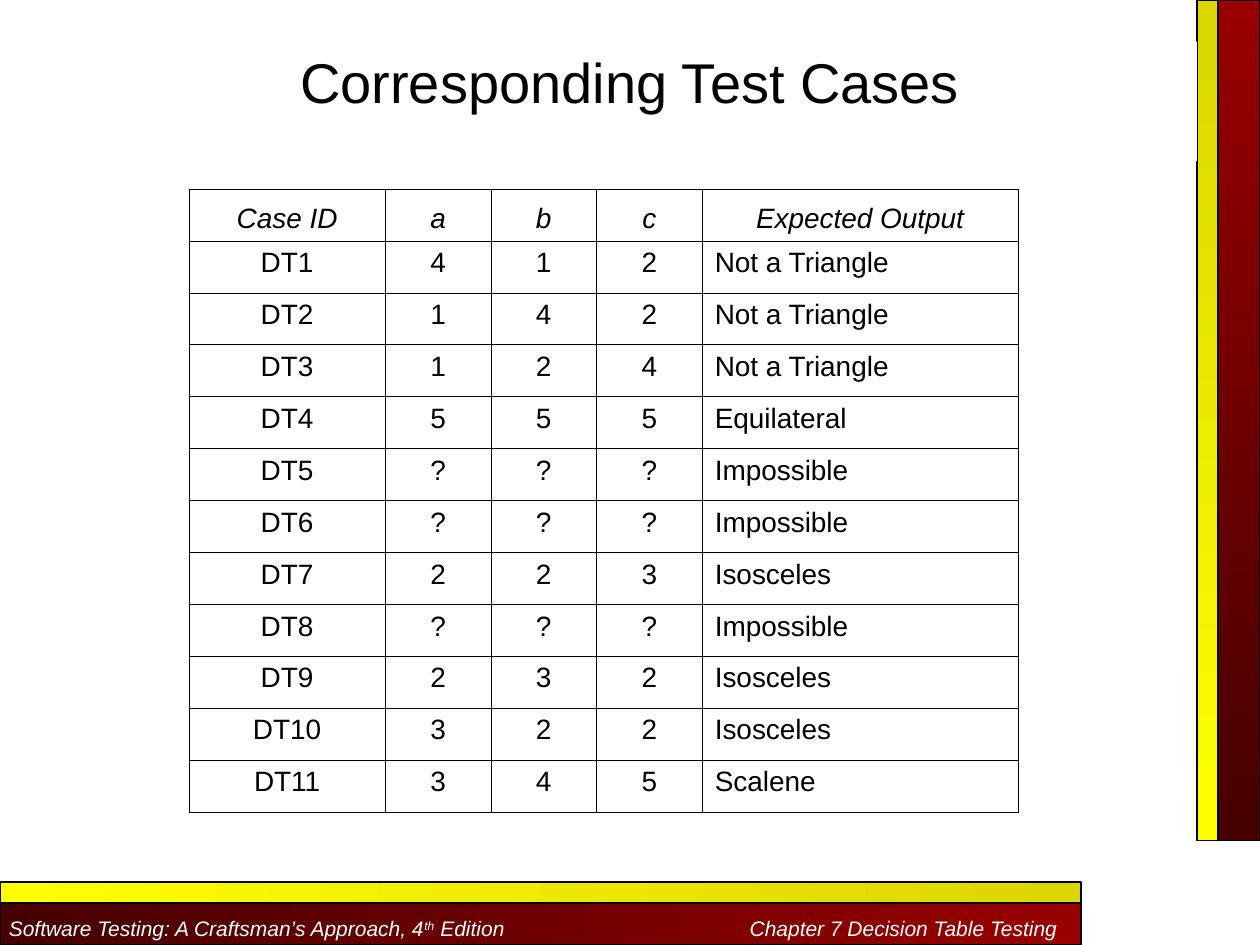
from dataclasses import dataclass

from lxml import etree
from pptx import Presentation
from pptx.dml.color import RGBColor
from pptx.enum.shapes import MSO_SHAPE
from pptx.enum.text import MSO_ANCHOR, PP_ALIGN
from pptx.oxml.ns import qn
from pptx.util import Inches, Pt

RECT = MSO_SHAPE.RECTANGLE
TOP, MIDDLE, BOTTOM = MSO_ANCHOR.TOP, MSO_ANCHOR.MIDDLE, MSO_ANCHOR.BOTTOM
LEFT, CENTER = PP_ALIGN.LEFT, PP_ALIGN.CENTER


@dataclass(frozen=True)
class Theme:
    font: str = "Arial"
    text: str = "000000"
    paper: str = "FFFFFF"
    red: tuple = ("990000", "460000")
    yellow: tuple = ("DBD600", "FFFF00")
    title_size: float = 32
    table_size: float = 16
    footer_size: float = 12
    bar_line: float = 0.75
    cell_line: float = 0.45


THEME = Theme()
HEADERS = ["Case ID", "a", "b", "c", "Expected Output"]
CASES = [
    ("4", "1", "2", "Not a Triangle"),
    ("1", "4", "2", "Not a Triangle"),
    ("1", "2", "4", "Not a Triangle"),
    ("5", "5", "5", "Equilateral"),
    ("?", "?", "?", "Impossible"),
    ("?", "?", "?", "Impossible"),
    ("2", "2", "3", "Isosceles"),
    ("?", "?", "?", "Impossible"),
    ("2", "3", "2", "Isosceles"),
    ("3", "2", "2", "Isosceles"),
    ("3", "4", "5", "Scalene"),
]
COLUMN_WIDTHS = [1.56, 0.84, 0.84, 0.84, 2.51]


def style_runs(p, size, color, italic=False):
    for r in p.runs:
        r.font.name = THEME.font
        r.font.size = Pt(size)
        r.font.italic = italic
        r.font.color.rgb = RGBColor.from_string(color)


def add_bar(slide, box, colors, angle):
    sp = slide.shapes.add_shape(RECT, *map(Inches, box))
    sp.shadow.inherit = False
    sp.fill.gradient()
    sp.fill.gradient_angle = angle
    for stop, color in zip(sp.fill.gradient_stops, colors):
        stop.color.rgb = RGBColor.from_string(color)
    sp.line.color.rgb = RGBColor.from_string(THEME.text)
    sp.line.width = Pt(THEME.bar_line)
    return sp


def add_side_band(slide, left, top, width, height):
    """Yellow strip a third of the band wide, then the red one."""
    strip = width / 3
    add_bar(slide, (left + strip, top, width - strip, height), THEME.red, 270)
    add_bar(slide, (left, top, strip, height), THEME.yellow, 270)


def add_footer_band(slide, left, top, width, height):
    """Yellow strip a third of the band high, above the red bar with text."""
    strip = height / 3
    bar = add_bar(slide, (left, top + strip, width, height - strip),
                  THEME.red[::-1], 0)
    add_bar(slide, (left, top, width, strip), THEME.yellow[::-1], 0)

    tf = bar.text_frame
    tf.word_wrap = False
    tf.vertical_anchor = MIDDLE
    tf.margin_left = tf.margin_top = Inches(0.07)
    tf.margin_right = tf.margin_bottom = 0
    p = tf.paragraphs[0]
    p.alignment = LEFT
    tabs = etree.SubElement(p._p.get_or_add_pPr(), qn("a:tabLst"))
    etree.SubElement(tabs, qn("a:tab"), pos=str(Inches(5.88)), algn="l")
    for text in ("Software Testing: A Craftsman’s Approach, 4", "th",
                 " Edition\tChapter 7 Decision Table Testing"):
        p.add_run().text = text
    style_runs(p, THEME.footer_size, THEME.paper, italic=True)
    p.runs[1].font._element.set("baseline", "30000")


def add_title(slide, left, top, width, height):
    box = slide.shapes.add_textbox(*map(Inches, (left, top, width, height)))
    box.fill.solid()
    box.fill.fore_color.rgb = RGBColor.from_string(THEME.paper)
    tf = box.text_frame
    tf.word_wrap = True
    tf.vertical_anchor = TOP
    tf.text = "Corresponding Test Cases"
    p = tf.paragraphs[0]
    p.alignment = CENTER
    style_runs(p, THEME.title_size, THEME.text)


def add_cell_borders(cell):
    tc_pr = cell._tc.get_or_add_tcPr()
    for i, side in enumerate(("a:lnL", "a:lnR", "a:lnT", "a:lnB")):
        ln = etree.Element(qn(side), w=str(Pt(THEME.cell_line)))
        fill = etree.SubElement(ln, qn("a:solidFill"))
        etree.SubElement(fill, qn("a:srgbClr"), val=THEME.text)
        tc_pr.insert(i, ln)


def add_case_table(slide, left, top, width, height):
    rows = [HEADERS] + [(f"DT{i}", *case) for i, case in enumerate(CASES, 1)]
    frame = slide.shapes.add_table(len(rows), len(HEADERS),
                                   *map(Inches, (left, top, width, height)))
    table = frame.table
    table.first_row = table.horz_banding = False
    for column, share in zip(table.columns, COLUMN_WIDTHS):
        column.width = Inches(width * share / sum(COLUMN_WIDTHS))
    for row in table.rows:
        row.height = Inches(height / len(rows))

    for i, values in enumerate(rows):
        header = i == 0
        for j, value in enumerate(values):
            cell = table.cell(i, j)
            cell.text = value
            cell.vertical_anchor = BOTTOM if header else TOP
            cell.fill.background()
            add_cell_borders(cell)
            p = cell.text_frame.paragraphs[0]
            last = j == len(HEADERS) - 1
            p.alignment = LEFT if last and not header else CENTER
            style_runs(p, THEME.table_size, THEME.text, italic=header)


def main():
    prs = Presentation()
    prs.slide_width, prs.slide_height = Inches(10), Inches(7.5)
    slide = prs.slides.add_slide(prs.slide_layouts[6])
    add_side_band(slide, 9.5, 0, 0.5, 6.67)
    add_footer_band(slide, 0, 7, 8.58, 0.5)
    add_title(slide, 0.5, 0.33, 9, 0.95)
    add_case_table(slide, 1.5, 1.5, 6.58, 4.95)
    prs.save("out.pptx")


if __name__ == "__main__":
    main()
